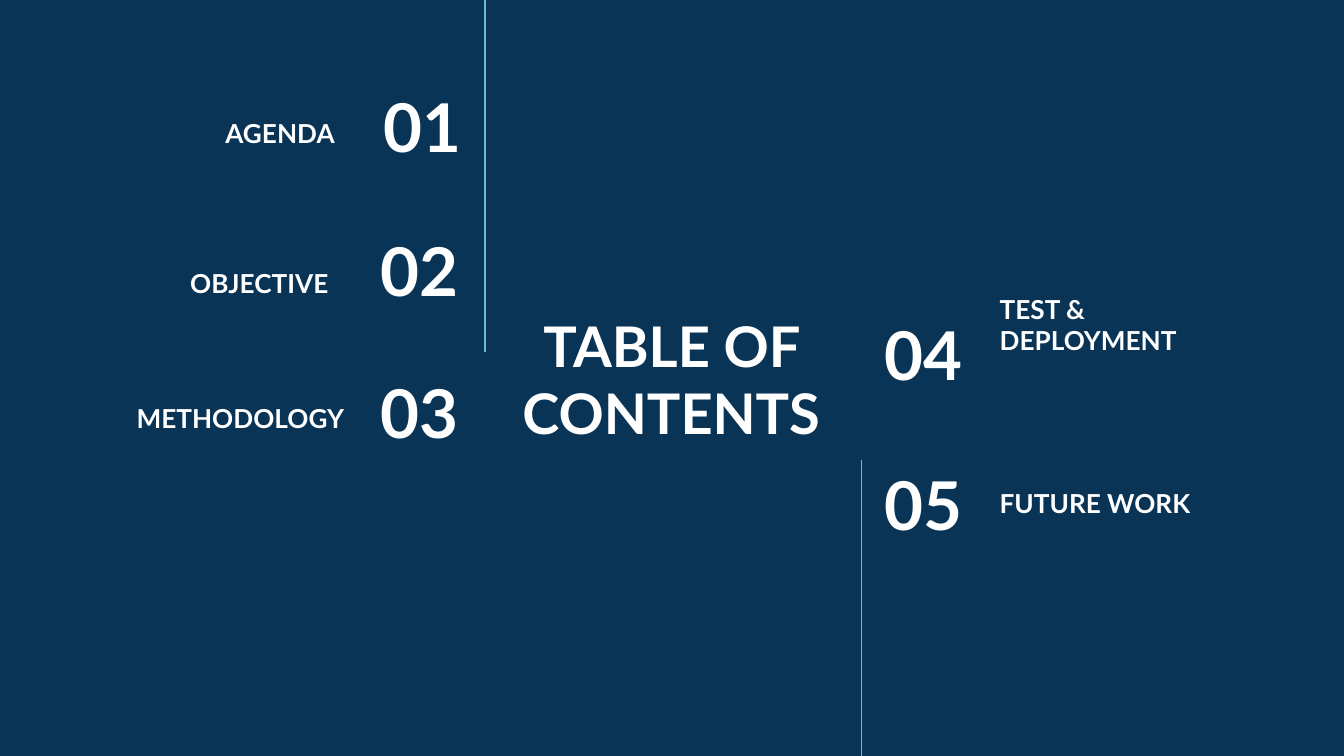
from typing import NamedTuple

from lxml.etree import SubElement
from pptx import Presentation
from pptx.dml.color import RGBColor
from pptx.enum.shapes import MSO_CONNECTOR
from pptx.enum.text import MSO_ANCHOR as Anchor, PP_ALIGN as Align
from pptx.oxml.ns import qn
from pptx.slide import Slide
from pptx.util import Inches, Pt

NAVY = RGBColor(0x0A, 0x34, 0x55)
WHITE = RGBColor(0xFF, 0xFF, 0xFF)
TEAL = RGBColor(0x6E, 0xBD, 0xC4)
FONT = "Lato"
SLIDE_WIDTH = 10
SLIDE_HEIGHT = SLIDE_WIDTH * 9 / 16
NUMBER_WIDTH, LABEL_WIDTH, ENTRY_HEIGHT = 1.21, 2.16, 0.63


class Entry(NamedTuple):
    number: str
    number_at: tuple[float, float]
    number_align: Align
    label: str
    label_at: tuple[float, float]
    label_align: Align


class Divider(NamedTuple):
    x: float
    top: float
    bottom: float


ENTRIES = [
    Entry("01", (2.32, 0.62), Align.RIGHT, "AGENDA", (0.43, 0.58), Align.RIGHT),
    Entry("02", (2.3, 1.69), Align.RIGHT, "OBJECTIVE", (0.85, 1.69), Align.CENTER),
    Entry("03", (2.3, 2.75), Align.RIGHT, "METHODOLOGY", (0.5, 2.7), Align.RIGHT),
    Entry("04", (6.48, 2.32), Align.LEFT, "TEST & DEPLOYMENT", (7.34, 2.12), Align.LEFT),
    Entry("05", (6.48, 3.43), Align.LEFT, "FUTURE WORK", (7.34, 3.33), Align.LEFT),
]
DIVIDERS = [Divider(3.61, 0, 2.62), Divider(6.41, 3.42, SLIDE_HEIGHT)]


def add_text(slide: Slide, text: str, at: tuple[float, float], width: float,
             height: float, size: int, align: Align, anchor: Anchor) -> None:
    left, top = at
    frame = slide.shapes.add_textbox(
        Inches(left), Inches(top), Inches(width), Inches(height)).text_frame
    frame.word_wrap = True
    frame.vertical_anchor = anchor
    frame.margin_left = frame.margin_right = Inches(0.1)
    frame.margin_top = frame.margin_bottom = Inches(0.1)
    paragraph = frame.paragraphs[0]
    paragraph.alignment = align
    run = paragraph.add_run()
    run.text = text
    run.font.name = FONT
    run.font.size = Pt(size)
    run.font.bold = True
    run.font.color.rgb = WHITE


def add_entry(slide: Slide, entry: Entry) -> None:
    add_text(slide, entry.number, entry.number_at, NUMBER_WIDTH, ENTRY_HEIGHT,
             36, entry.number_align, Anchor.MIDDLE)
    add_text(slide, entry.label, entry.label_at, LABEL_WIDTH, ENTRY_HEIGHT,
             14, entry.label_align, Anchor.BOTTOM)


def add_divider(slide: Slide, divider: Divider) -> None:
    x = Inches(divider.x)
    rule = slide.shapes.add_connector(
        MSO_CONNECTOR.STRAIGHT, x, Inches(divider.top), x, Inches(divider.bottom))
    rule.line.color.rgb = TEAL
    rule.line.width = Pt(0.75)
    SubElement(rule._element.spPr, qn("a:effectLst"))


def main() -> None:
    """Build the table of contents slide."""
    deck = Presentation()
    deck.slide_width, deck.slide_height = Inches(SLIDE_WIDTH), Inches(SLIDE_HEIGHT)
    slide = deck.slides.add_slide(deck.slide_layouts[6])
    slide.background.fill.solid()
    slide.background.fill.fore_color.rgb = NAVY
    add_text(slide, "TABLE OF CONTENTS", (3.7, 2.3), 2.59, 1.03,
             30, Align.CENTER, Anchor.MIDDLE)
    for entry in ENTRIES:
        add_entry(slide, entry)
    for divider in DIVIDERS:
        add_divider(slide, divider)
    deck.save("out.pptx")


if __name__ == "__main__":
    main()
